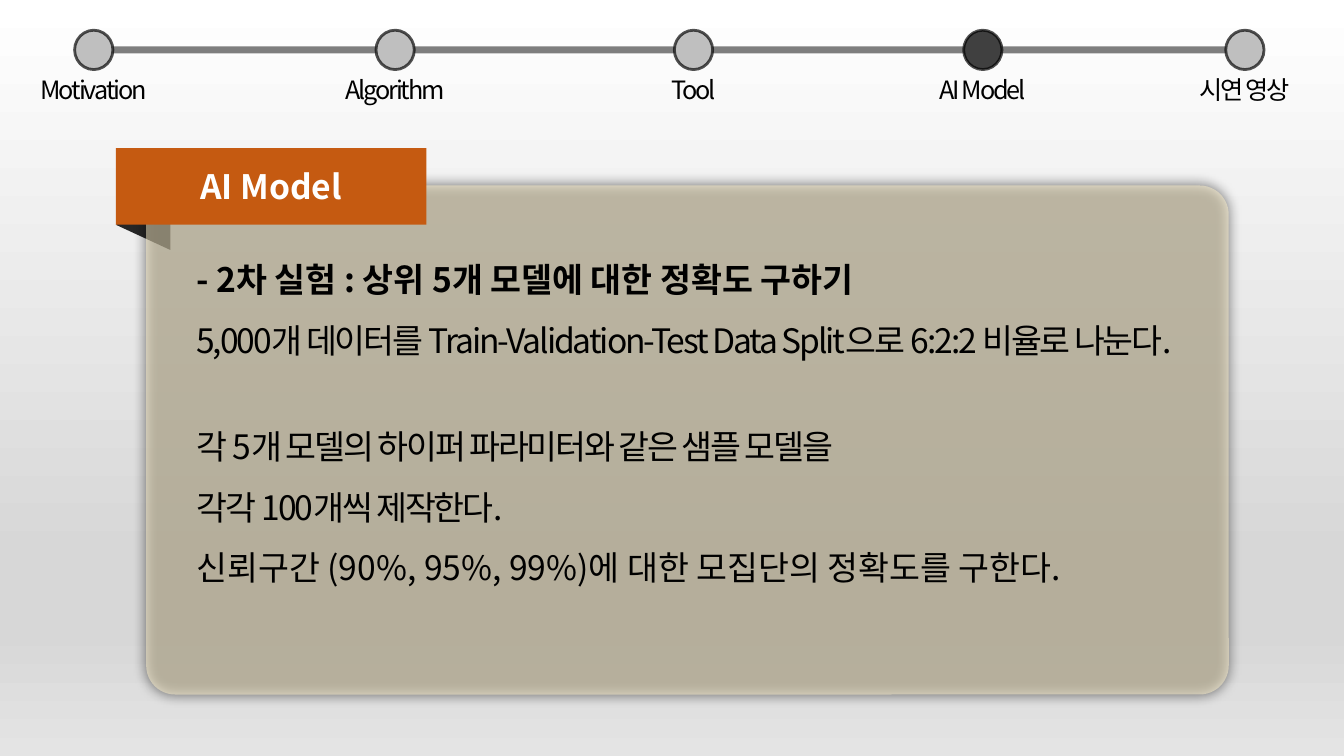
from dataclasses import dataclass

from pptx import Presentation
from pptx.dml.color import RGBColor
from pptx.enum.shapes import MSO_CONNECTOR, MSO_SHAPE
from pptx.enum.text import MSO_ANCHOR, MSO_AUTO_SIZE, PP_ALIGN
from pptx.oxml import parse_xml
from pptx.oxml.ns import nsdecls, qn
from pptx.util import Inches, Pt

OVAL, CARD, FOLD = MSO_SHAPE.OVAL, MSO_SHAPE.ROUNDED_RECTANGLE, MSO_SHAPE.ISOSCELES_TRIANGLE
LINE = MSO_CONNECTOR.STRAIGHT
LEFT, MID = PP_ALIGN.LEFT, PP_ALIGN.CENTER
TOP, CENTER = MSO_ANCHOR.TOP, MSO_ANCHOR.MIDDLE
FIXED = MSO_AUTO_SIZE.NONE
COLS, ROWS = 160, 90
WIDE, HIGH = Inches(13.333), Inches(7.5)


@dataclass(frozen=True)
class Theme:
    """Colours, font and type sizes of the slide."""
    font: str = "Noto Sans CJK KR"
    ink: str = "000000"
    white: str = "FFFFFF"
    banner: str = "C55A11"
    fold: str = "262626"
    card: str = "FFF2CC"
    dot: str = "BFBFBF"
    active: str = "404040"
    back: tuple = ((0, "FFFFFF"), (74, "D7D7D7"), (83, "D7D7D7"), (100, "E4E4E4"))
    body: int = 24
    label: int = 18
    tight: float = -1.5


@dataclass(frozen=True)
class Box:
    """A place on the grid, in columns and rows."""
    x: float
    y: float
    w: float
    h: float

    def place(self) -> tuple:
        """Give left, top, width and height as lengths."""
        return (round(self.x * WIDE / COLS), round(self.y * HIGH / ROWS),
                round(self.w * WIDE / COLS), round(self.h * HIGH / ROWS))


@dataclass(frozen=True)
class Step:
    """One stop of the progress line."""
    name: str
    mid: float
    active: bool = False


@dataclass(frozen=True)
class Para:
    """One paragraph and its look."""
    text: str
    size: int
    color: str
    bold: bool = False
    gap: float = 0
    align: PP_ALIGN = LEFT
    lead: float = 1.0


LOOK = Theme()
STEPS = (Step("Motivation", 11.16), Step("Algorithm", 47.04), Step("Tool", 82.56),
         Step("AI Model", 117, True), Step("시연 영상", 148.2))
AXIS, DOT_W, DOT_H = 5.94, 4.56, 4.68
NAME_Y, NAME_W, NAME_H = 8.28, 22.44, 4.8


def fade(fill, share: int) -> None:
    """Set the opacity of a solid fill or line, in percent."""
    tint = fill._xPr.find(qn("a:solidFill"))[0]
    tint.append(parse_xml(f'<a:alpha {nsdecls("a")} val="{share * 1000}"/>'))


def stroke(line, width: float, share: int) -> None:
    """Draw a translucent ink line."""
    line.width = Pt(width)
    line.fill.solid()
    line.fill.fore_color.rgb = RGBColor.from_string(LOOK.ink)
    fade(line.fill, share)


def paint(shape, color: str) -> None:
    """Fill a shape and leave out its outline and shadow."""
    shape.shadow.inherit = False
    shape.fill.solid()
    shape.fill.fore_color.rgb = RGBColor.from_string(color)
    shape.line.fill.background()


def form(slide, kind: MSO_SHAPE, box: Box, color: str):
    """Add a plain filled shape."""
    shape = slide.shapes.add_shape(kind, *box.place())
    paint(shape, color)
    return shape


def write(shape, paras: list[Para], anchor: MSO_ANCHOR = TOP) -> None:
    """Write paragraphs into a shape."""
    frame = shape.text_frame
    frame.word_wrap, frame.auto_size = True, FIXED
    frame.vertical_anchor = anchor
    frame.text = "\n".join(para.text for para in paras)
    for item, para in zip(frame.paragraphs, paras):
        item.alignment, item.line_spacing = para.align, para.lead
        for run in item.runs:
            run.font.size, run.font.bold = Pt(para.size), para.bold
            run.font.color.rgb = RGBColor.from_string(para.color)
            run.font.name = LOOK.font
            props = run._r.get_or_add_rPr()
            props.set("spc", str(round(para.gap * 100)))
            props.append(parse_xml(f'<a:ea {nsdecls("a")} typeface="{LOOK.font}"/>'))


def note(slide, box: Box, paras: list[Para]) -> None:
    """Add a text box."""
    write(slide.shapes.add_textbox(*box.place()), paras)


def body(text: str, bold: bool = False, gap: float = 0) -> Para:
    """Make a body paragraph."""
    return Para(text, LOOK.body, LOOK.ink, bold, gap, lead=1.5)


def backdrop(slide) -> None:
    """Shade the background from top to bottom."""
    fill = slide.background.fill
    fill.gradient()
    fill.gradient_angle = 270
    stops = slide.element.find(".//" + qn("a:gsLst"))
    for stop in list(stops):
        stops.remove(stop)
    for spot, color in LOOK.back:
        stops.append(parse_xml(f'<a:gs {nsdecls("a")} pos="{spot * 1000}">'
                               f'<a:srgbClr val="{color}"/></a:gs>'))


def panel(slide) -> None:
    """Draw the folded corner and the translucent card."""
    fold = form(slide, FOLD, Box(14.04, 23.52, 6, 6.48), LOOK.fold)
    fold.rotation = 270
    card = form(slide, CARD, Box(17.4, 22.08, 128.88, 60.6), LOOK.card)
    card.adjustments[0] = 0.057
    fade(card.fill, 50)
    glow = card.element.spPr.find(qn("a:effectLst"))
    glow.append(parse_xml(
        f'<a:outerShdw {nsdecls("a")} blurRad="{Pt(9)}" dist="0" dir="13500000" '
        f'algn="ctr" rotWithShape="0"><a:srgbClr val="{LOOK.ink}">'
        '<a:alpha val="50000"/></a:srgbClr></a:outerShdw>'))


def banner(slide) -> None:
    """Turn the title into the arrow-shaped banner in front of the card."""
    title = slide.shapes.title
    title.left, title.top, title.width, title.height = Box(13.8, 17.64, 36.96, 9.12).place()
    title.element.spPr.append(parse_xml(
        f'<a:prstGeom {nsdecls("a")} prst="homePlate"><a:avLst/></a:prstGeom>'))
    paint(title, LOOK.banner)
    write(title, [Para("AI Model", LOOK.body, LOOK.white, True, align=MID)], CENTER)
    title.element.getparent().append(title.element)


def track(slide) -> None:
    """Draw the progress line with its dots and names."""
    start, y, _, _ = Box(9.72, AXIS, 0, 0).place()
    end = Box(149.4, AXIS, 0, 0).place()[0]
    rail = slide.shapes.add_connector(LINE, start, y, end, y)
    stroke(rail.line, 5, 50)
    rail.element.spPr.append(parse_xml(f'<a:effectLst {nsdecls("a")}/>'))
    for step in STEPS:
        spot = Box(step.mid - DOT_W / 2, AXIS - DOT_H / 2, DOT_W, DOT_H)
        dot = form(slide, OVAL, spot, LOOK.active if step.active else LOOK.dot)
        stroke(dot.line, 2, 67)
        note(slide, Box(step.mid - NAME_W / 2, NAME_Y, NAME_W, NAME_H),
             [Para(step.name, LOOK.label, LOOK.ink, gap=LOOK.tight, align=MID)])


def main() -> None:
    """Build and save the slide."""
    deck = Presentation()
    deck.slide_width, deck.slide_height = WIDE, HIGH
    slide = deck.slides.add_slide(deck.slide_layouts[5])
    backdrop(slide)
    panel(slide)
    banner(slide)
    note(slide, Box(22.2, 27.84, 121.2, 14.76), [
        body("- 2차 실험 : 상위 5개 모델에 대한 정확도 구하기", bold=True),
        body("5,000개 데이터를 Train-Validation-Test Data Split으로 6:2:2 비율로 나눈다.",
             gap=LOOK.tight)])
    note(slide, Box(22.2, 47.76, 114.84, 29.4), [
        body("각 5개 모델의 하이퍼 파라미터와 같은 샘플 모델을", gap=LOOK.tight),
        body("각각 100개씩 제작한다.", gap=LOOK.tight),
        body("신뢰구간 (90%, 95%, 99%)에 대한 모집단의 정확도를 구한다.")])
    track(slide)
    deck.save("out.pptx")


main()
